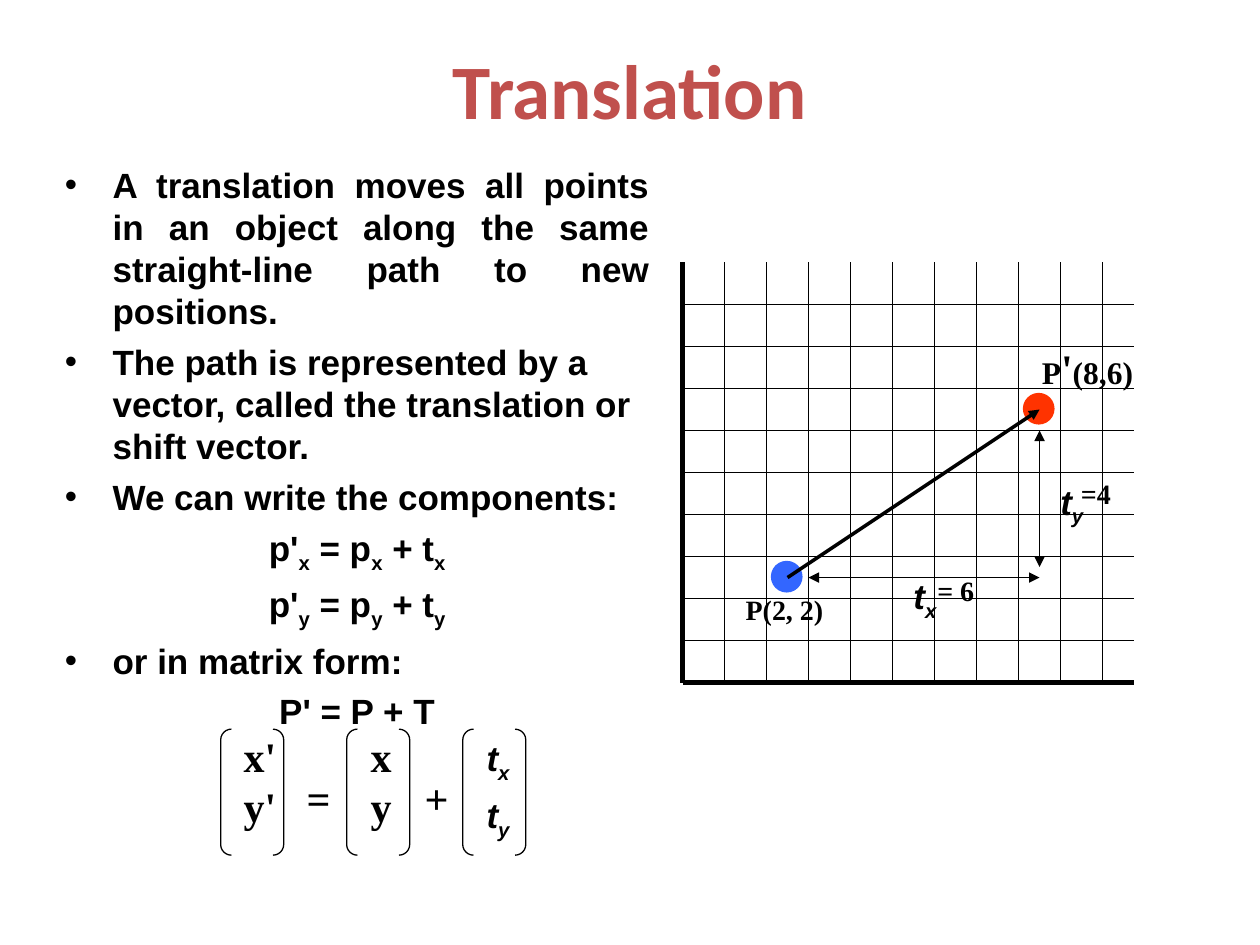
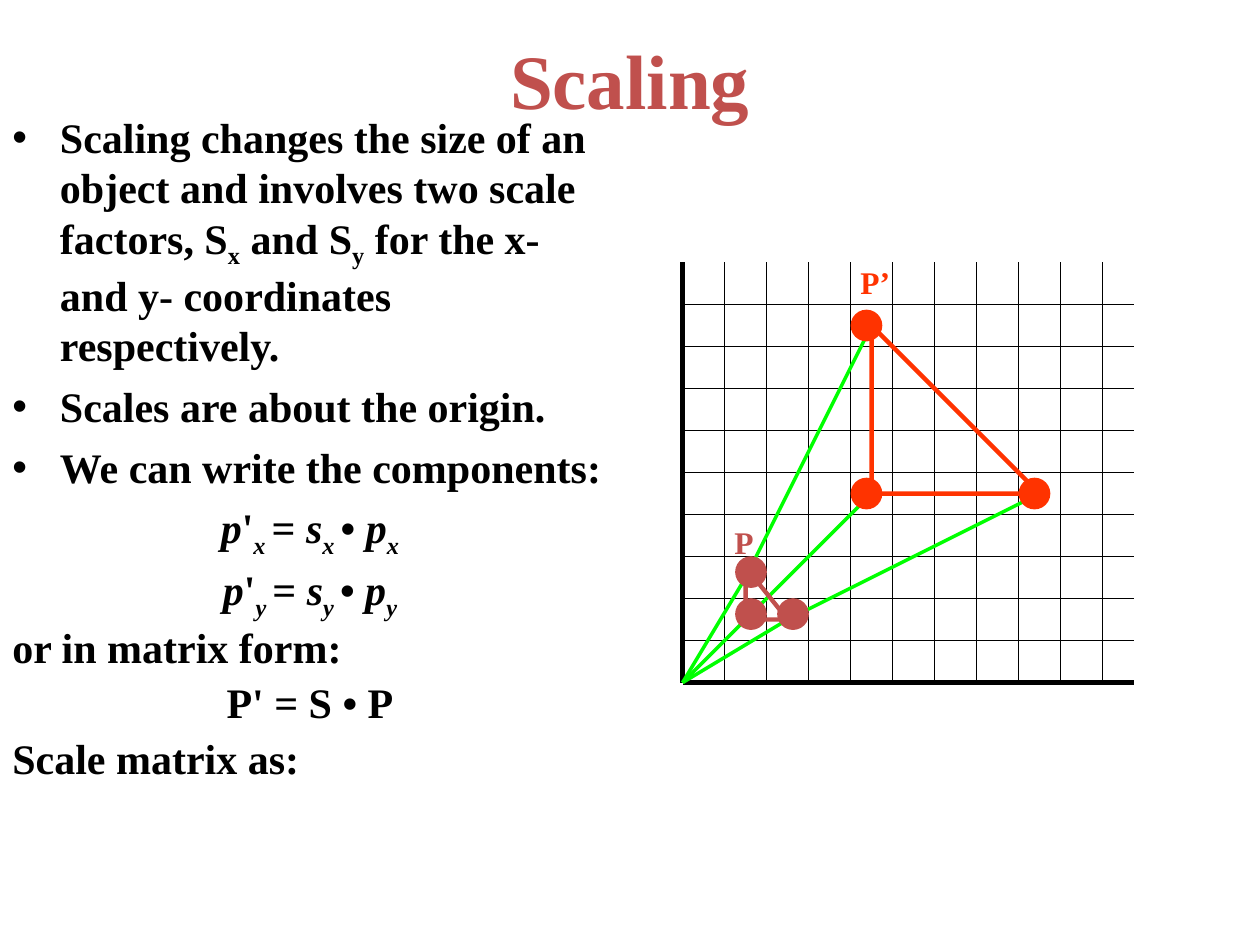
import pptx
import pptx.util
import pptx.dml.color
import pptx.enum.shapes
import pptx.enum.text
import pptx.oxml.ns
from lxml import etree

Cm = pptx.util.Cm
Pt = pptx.util.Pt
RGB = pptx.dml.color.RGBColor
Kind = pptx.enum.shapes.MSO_SHAPE
Align = pptx.enum.text.PP_ALIGN
qn = pptx.oxml.ns.qn

BLACK = RGB(0, 0, 0)
BRICK = RGB(0xC0, 0x50, 0x4D)
RED = RGB(0xFF, 0x33, 0)
BLUE = RGB(0x33, 0x66, 0xFF)
GREEN = RGB(0, 0xFF, 0)
ARIAL, SERIF = "Arial", "Times New Roman"

UNIT = 2.54 / 3
PLOT = (13.76, 5.29, 9.1, 8.47)
DOT = 0.64
INDENT = 0.96


def add_runs(para, runs, size, font, color=BLACK):
    for text, marks, *own in runs:
        run = para.add_run()
        run.text = text
        run.font.name = font
        run.font.size = Pt(own[0] if own else size)
        run.font.bold = True
        run.font.italic = "i" in marks
        run.font.color.rgb = color
        if "s" in marks:
            run.font._element.set("baseline", "-25000")


def add_text(slide, box, paras, size, font, color=BLACK, gap=0):
    frame = slide.shapes.add_textbox(*map(Cm, box)).text_frame
    frame.word_wrap = True
    for i, runs in enumerate(paras):
        para = frame.paragraphs[0] if i == 0 else frame.add_paragraph()
        para.space_before = Pt(gap if i else 0)
        add_runs(para, runs, size, font, color)
    return frame


def add_title(slide, top, text, font):
    frame = add_text(slide, (1.9, top, 21.6, 3.18), [[(text, "")]], 44, font, BRICK)
    frame.vertical_anchor = pptx.enum.text.MSO_ANCHOR.MIDDLE
    frame.paragraphs[0].alignment = Align.CENTER


def add_body(slide, box, items, size, font, gap, tight=None):
    frame = add_text(slide, box, [runs for _, runs in items], size, font, gap=gap)
    for para, (style, _) in zip(frame.paragraphs, items):
        props = para._p.get_or_add_pPr()
        props.set("marL", str(Cm(INDENT)))
        props.set("indent", str(-Cm(INDENT)))
        if "bullet" in style:
            etree.SubElement(props, qn("a:buFont")).set("typeface", ARIAL)
            etree.SubElement(props, qn("a:buChar")).set("char", "•")
        elif tight:
            para.line_spacing = tight
        if "center" in style:
            para.alignment = Align.CENTER
        if "full" in style:
            para.alignment = Align.JUSTIFY


def spot(box, x, y):
    left, top, _, height = box
    return left + x * UNIT, top + height - y * UNIT


def add_line(slide, start, end, width, color=BLACK, heads=()):
    line = slide.shapes.add_connector(
        pptx.enum.shapes.MSO_CONNECTOR.STRAIGHT, *map(Cm, (*start, *end)))
    line.line.color.rgb = color
    line.line.width = Pt(width)
    for head in heads:
        etree.SubElement(line.line._get_or_add_ln(), qn("a:" + head)).set("type", "triangle")
    etree.SubElement(line._element.spPr, qn("a:effectLst"))


def add_shape(slide, kind, box, fill=None, color=None, width=0.75):
    shape = slide.shapes.add_shape(kind, *map(Cm, box))
    shape.shadow.inherit = False
    if fill is None:
        shape.fill.background()
    else:
        shape.fill.solid()
        shape.fill.fore_color.rgb = fill
    if color is None:
        shape.line.fill.background()
    else:
        shape.line.color.rgb = color
        shape.line.width = Pt(width)
    return shape


def add_dot(slide, box, x, y, color):
    left, top = spot(box, x, y)
    add_shape(slide, Kind.OVAL, (left - DOT / 2, top - DOT / 2, DOT, DOT), color)


def add_label(slide, box, x, y, runs, size=18, font=SERIF, color=BLACK):
    add_text(slide, (*spot(box, x, y), 3, 1), [runs], size, font, color)


def add_grid(slide, box):
    left, top, width, height = box
    for col in range(11):
        x = left + col * UNIT
        add_line(slide, (x, top), (x, top + height), 0.75 if col else 3)
    for row in range(10):
        y = top + height - row * UNIT
        add_line(slide, (left, y), (left + width, y), 0.75 if row else 3)


def draw_shift(slide, box):
    add_grid(slide, box)
    add_dot(slide, box, 2.48, 2.52, BLUE)
    add_dot(slide, box, 8.48, 6.52, RED)
    both = ("headEnd", "tailEnd")
    for start, end, width, heads in (
            ((2.5, 2.5), (8.5, 6.5), 2, ("tailEnd",)),
            ((3, 2.5), (8.5, 2.5), 0.75, both),
            ((8.5, 2.75), (8.5, 6), 0.75, both)):
        add_line(slide, spot(box, *start), spot(box, *end), width, heads=heads)
    for x, y, axis in ((5.2, 2.72, "x"), (8.7, 4.97, "y")):
        add_label(slide, box, x, y, [("t", "i"), (axis, "is")], 20, ARIAL)
    for x, y, text in ((1.21, 2.3, "P(2, 2)"), (5.77, 2.75, "= 6"), (9.19, 5.06, "=4")):
        add_label(slide, box, x, y, [(text, "")], 16)
    add_label(slide, box, 8.26, 8.24, [("P", ""), ("'", "", 24), ("(8,6)", "")])


def draw_scale(slide, box):
    add_grid(slide, box)
    small = ((1.5, 2.5), (1.5, 1.5), (2.5, 1.5))
    large = ((4.5, 8.5), (4.5, 4.5), (8.5, 4.5))
    for start, end in zip(small, large):
        add_line(slide, spot(box, *start), spot(box, *end), 2, GREEN, ("tailEnd",))
    for x, y, wide, high, color in ((1.5, 2.75, 1, 1.25, BRICK), (4.5, 8.5, 4, 4, RED)):
        add_shape(slide, Kind.RIGHT_TRIANGLE,
                  (*spot(box, x, y), wide * UNIT, high * UNIT), color=color, width=2.5)
    for end in small:
        add_line(slide, spot(box, *end), spot(box, 0, 0), 2, GREEN)
    for points, dx, dy, color in ((small, 0.13, 0.13, BRICK), (large, -0.12, 0, RED)):
        for x, y in points:
            add_dot(slide, box, x + dx, y + dy, color)
    add_label(slide, box, 0.94, 3.95, [("P", "")], color=BRICK)
    add_label(slide, box, 3.94, 10.13, [("P’", "")], color=RED)


def draw_matrix(slide, box):
    left, top, _, high = box
    for x in (0, 2.54, 4.88):
        pair = add_shape(slide, Kind.DOUBLE_BRACKET, (left + x, top, 1.27, high), color=BLACK)
        pair.adjustments[0] = 0.17
    for x, tick in ((0.21, "'"), (2.77, "")):
        rows = [[(axis + tick, "")] for axis in "xy"]
        add_text(slide, (left + x, top - 0.1, 1.3, 2.3), rows, 24, SERIF)
    rows = [[("t", "i"), (axis, "is")] for axis in "xy"]
    add_text(slide, (left + 5.11, top + 0.03, 1.3, 2.36), rows, 20, ARIAL, gap=5)
    for x, sign in ((1.48, "="), (3.86, "+")):
        add_text(slide, (left + x, top + 0.74, 1.2, 1.27), [[(sign, "")]], 24, SERIF)


def shift_rule(axis):
    return [("p'", ""), (axis, "s"), (" = p", ""), (axis, "s"), (" + t", ""), (axis, "s")]


def scale_rule(axis):
    return [("p", "i"), ("'", ""), (axis + " ", "is"), ("= ", ""), ("s", "i"),
            (axis + " ", "is"), ("•", ""), (" p", "i"), (axis, "is")]


def build_shift(slide):
    add_title(slide, 0.2, "Translation", "Calibri")
    add_body(slide, (1.06, 3.18, 12.28, 13.76), [
        ("bullet full", [("A translation moves all points in an object along the same "
                          "straight-line path to new positions.", "")]),
        ("bullet", [("The path is represented by a vector, called the translation "
                     "or shift vector.", "")]),
        ("bullet", [("We can write the components:", "")]),
        ("center", shift_rule("x")),
        ("center", shift_rule("y")),
        ("bullet", [("or in matrix form:", "")]),
        ("center", [("P' = P + T", "")]),
    ], 20, ARIAL, 5)
    draw_shift(slide, PLOT)
    draw_matrix(slide, (4.45, 14.7, 6.15, 2.54))


def build_scale(slide):
    add_title(slide, 0, "Scaling", SERIF)
    add_body(slide, (0, 2.12, 12.5, 16.3), [
        ("bullet", [("Scaling changes the size of an object and involves two scale "
                     "factors, S", ""), ("x", "s"), (" and S", ""), ("y", "s"),
                    (" for the x- and y- coordinates respectively.", "")]),
        ("bullet", [("Scales are about the origin.", "")]),
        ("bullet", [("We can write the components:", "")]),
        ("center", scale_rule("x")),
        ("center", scale_rule("y")),
        ("plain", [("or in matrix form:", "")]),
        ("center", [("P' = S • P", "")]),
        ("plain", [("Scale matrix as:", "")]),
    ], 24, SERIF, 6, 0.9)
    draw_scale(slide, PLOT)


def main():
    deck = pptx.Presentation()
    deck.slide_width, deck.slide_height = Cm(25.4), Cm(19.05)
    for build in (build_shift, build_scale):
        build(deck.slides.add_slide(deck.slide_layouts[6]))
    deck.save("out.pptx")


if __name__ == "__main__":
    main()
